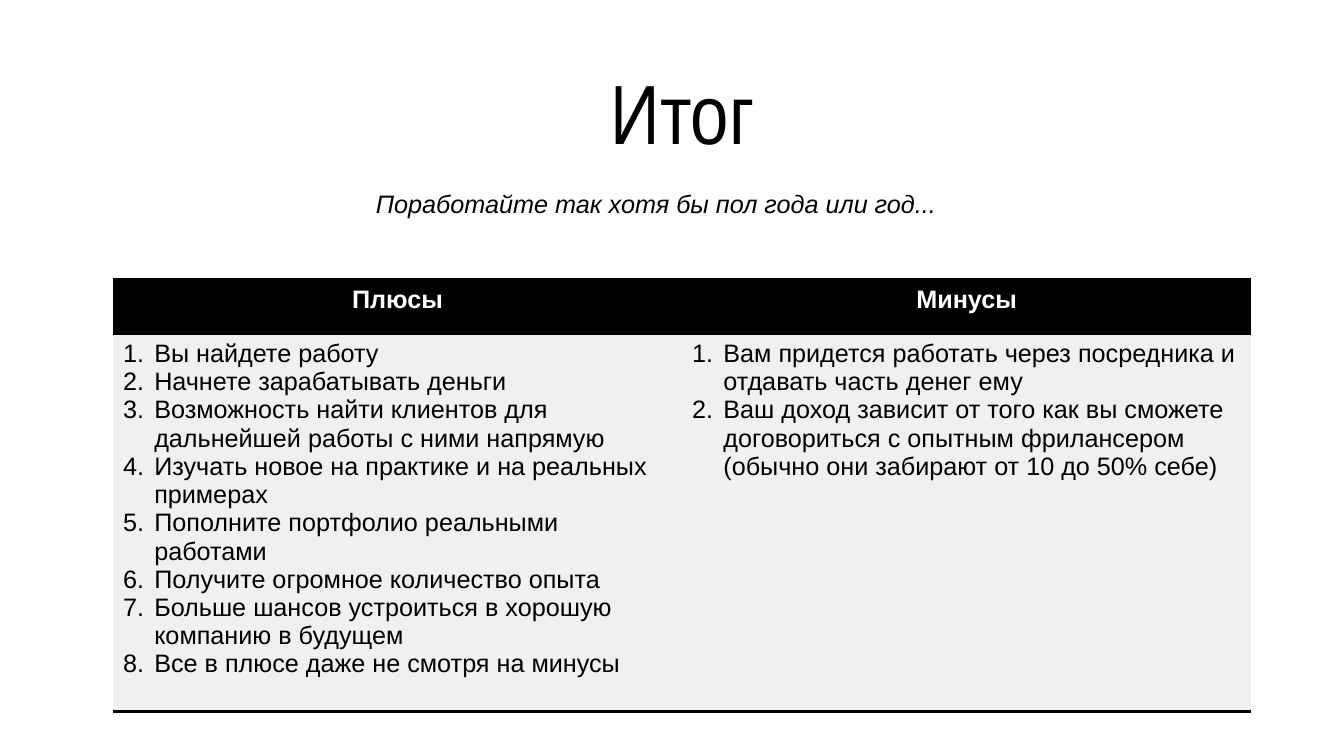
from lxml import etree
from pptx import Presentation
from pptx import util as u
from pptx.dml.color import RGBColor
from pptx.enum import text
from pptx.oxml import ns

BLACK, WHITE, GREY = "000000", "FFFFFF", "F0F0F0"
NO_STYLE = "{2D5ABB26-0587-4C30-8999-92F81FD0307C}"


def write(para, words, color, **formats):
    """Put words in a paragraph and format them."""
    span = para.add_run()
    span.text = words
    span.font.color.rgb = RGBColor.from_string(color)
    for name, value in {"name": "Arial", "size": u.Pt(18), **formats}.items():
        setattr(span.font, name, value)


def add_rule(cell, side):
    """Draw a 3 pt black border on one side of a cell."""
    line = etree.Element(ns.qn("a:" + side), w=str(u.Pt(3)))
    fill = etree.SubElement(line, ns.qn("a:solidFill"))
    etree.SubElement(fill, ns.qn("a:srgbClr"), val=BLACK)
    cell.fill.solid()
    cell.fill.fore_color.rgb = RGBColor.from_string(BLACK if side == "lnT" else GREY)
    cell.fill._xPr.insert(0, line)


columns = {
    "Плюсы": [
        "Вы найдете работу",
        "Начнете зарабатывать деньги",
        "Возможность найти клиентов для дальнейшей работы с ними напрямую",
        "Изучать новое на практике и на реальных примерах",
        "Пополните портфолио реальными работами",
        "Получите огромное количество опыта",
        "Больше шансов устроиться в хорошую компанию в будущем",
        "Все в плюсе даже не смотря на минусы",
    ],
    "Минусы": [
        "Вам придется работать через посредника и отдавать часть денег ему",
        "Ваш доход зависит от того как вы сможете договориться с опытным "
        "фрилансером (обычно они забирают от 10 до 50% себе)",
    ],
}

deck = Presentation()
deck.slide_width, deck.slide_height = u.Inches(13.33), u.Inches(7.5)
page = deck.slides.add_slide(deck.slide_layouts[5])

# Title
title = page.shapes.title
title.left, title.top = u.Inches(3.63), u.Inches(0.36)
title.width, title.height = u.Inches(6.28), u.Inches(1.3)
frame = title.text_frame
frame.vertical_anchor = text.MSO_ANCHOR.BOTTOM
para = frame.paragraphs[0]
para.alignment = text.PP_ALIGN.CENTER
para.line_spacing = 0.9
write(para, "Итог", BLACK, name="Arial Narrow", size=u.Pt(60))

# Table of pros and cons
table_shape = page.shapes.add_table(
    2, 2, u.Inches(1.12), u.Inches(2.78), u.Inches(11.29), u.Inches(4.28))
for style in table_shape.element.iter(ns.qn("a:tableStyleId")):
    style.text = NO_STYLE
table = table_shape.table
table.horz_banding = False
table.rows[0].height, table.rows[1].height = u.Inches(0.54), u.Inches(3.74)

for index, (heading, points) in enumerate(columns.items()):
    header, body = table.cell(0, index), table.cell(1, index)
    add_rule(header, "lnT")
    add_rule(body, "lnB")
    para = header.text_frame.paragraphs[0]
    para.alignment = text.PP_ALIGN.CENTER
    write(para, heading, WHITE, bold=True)

    # Numbered points
    for number, point in enumerate(points):
        lines = body.text_frame
        para = lines.add_paragraph() if number else lines.paragraphs[0]
        layout = para._p.get_or_add_pPr()
        layout.set("marL", str(u.Inches(0.31)))
        layout.set("indent", str(-u.Inches(0.31)))
        etree.SubElement(layout, ns.qn("a:buFont"), typeface="+mj-lt")
        etree.SubElement(layout, ns.qn("a:buAutoNum"), type="arabicPeriod")
        write(para, point, BLACK, bold=False)

# Remark under the title
remark = page.shapes.add_textbox(
    u.Inches(3.63), u.Inches(1.82), u.Inches(6.28), u.Inches(0.4))
remark.text_frame.word_wrap = True
remark.text_frame.auto_size = text.MSO_AUTO_SIZE.SHAPE_TO_FIT_TEXT
write(remark.text_frame.paragraphs[0],
      "Поработайте так хотя бы пол года или год...", BLACK, italic=True)

deck.save("out.pptx")
